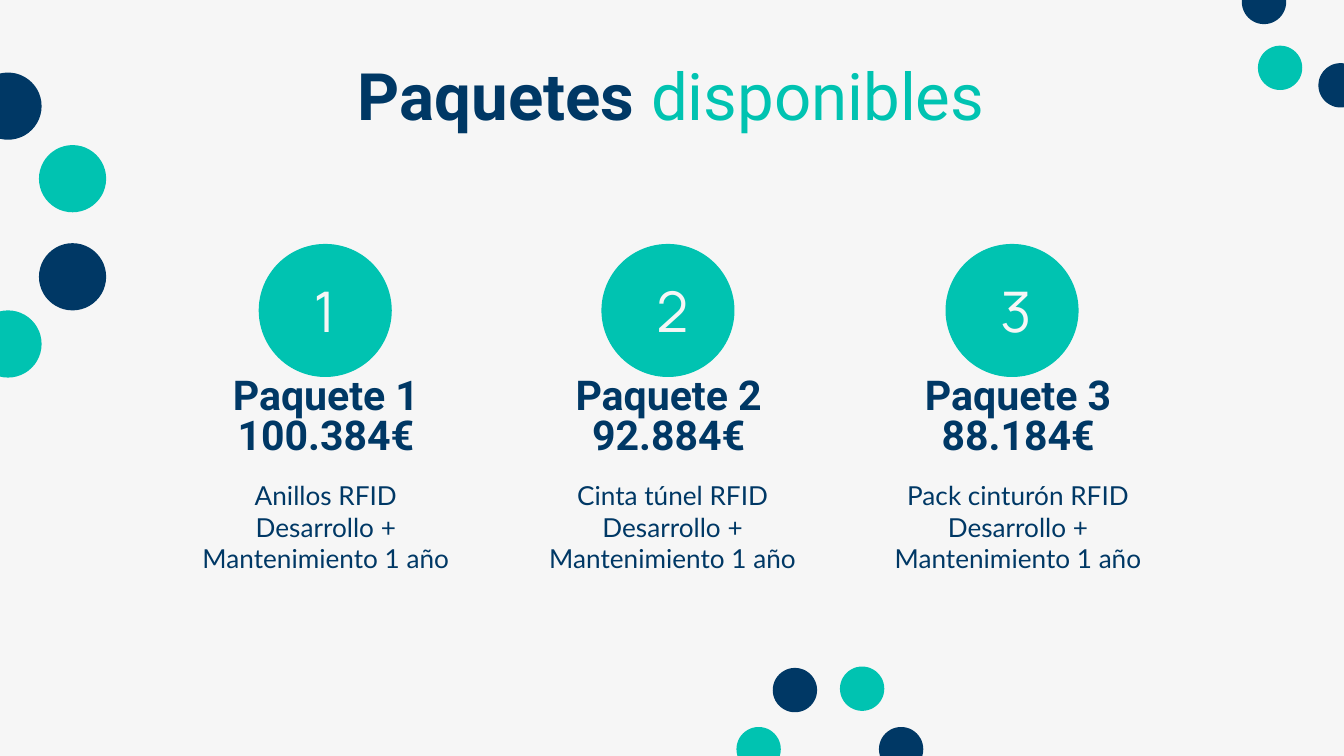
from pptx import Presentation
from pptx.dml.color import RGBColor
from pptx.enum.shapes import MSO_SHAPE
from pptx.enum.text import MSO_ANCHOR, MSO_AUTO_SIZE, PP_ALIGN
from pptx.util import Inches, Pt

NAVY, TEAL, PALE = "003865", "00C3B1", "F6F6F6"
OVAL = MSO_SHAPE.OVAL
TOP, MIDDLE, BOTTOM = MSO_ANCHOR.TOP, MSO_ANCHOR.MIDDLE, MSO_ANCHOR.BOTTOM
LEFT, CENTER = PP_ALIGN.LEFT, PP_ALIGN.CENTER
NO_FIT = MSO_AUTO_SIZE.NONE

DOT_GROUPS = [
    (0.5, [(-0.19, 0.54, NAVY), (0.29, 1.81, NAVY), (-0.19, 2.31, TEAL), (0.29, 1.08, TEAL)]),
    (0.33, [(9.36, 0.34, TEAL), (9.81, 0.47, NAVY), (9.24, -0.15, NAVY)]),
    (0.33, [(6.54, 5.41, NAVY), (6.25, 4.96, TEAL), (5.48, 5.41, TEAL), (5.75, 4.97, NAVY)]),
]
PACKAGES = [
    ("100.384€", "Anillos RFID", 1.93, 1.35, 1.35),
    ("92.884€", "Cinta túnel RFID", 4.48, 3.9, 3.93),
    ("88.184€", "Pack cinturón RFID", 7.04, 6.5, 6.5),
]
SERVICE = "Desarrollo + Mantenimiento 1 año"


def rgb(color):
    """Return the colour for a hex string."""
    return RGBColor.from_string(color)


class Deck:
    """Hold the style and the current slide, and draw each kind of element."""

    def __init__(self):
        """Open a 16:9 presentation with one title-only slide."""
        self.presentation = Presentation()
        self.presentation.slide_width = Inches(10)
        self.presentation.slide_height = Inches(10) * 9 // 16
        self.slide = self.presentation.slides.add_slide(self.presentation.slide_layouts[5])
        background = self.slide.background.fill
        background.solid()
        background.fore_color.rgb = rgb(PALE)

    def frame(self, shape, anchor):
        """Give a shape's text frame equal insets, wrapping and an anchor."""
        frame = shape.text_frame
        frame.auto_size = NO_FIT
        frame.word_wrap = True
        frame.vertical_anchor = anchor
        frame.margin_left = frame.margin_right = Inches(0.1)
        frame.margin_top = frame.margin_bottom = Inches(0.1)
        return frame

    def style(self, paragraph, font, size, color=NAVY, bold=False, align=CENTER, spacing=1.0):
        """Format a whole paragraph."""
        paragraph.alignment = align
        paragraph.line_spacing = spacing
        paragraph.font.name = font
        paragraph.font.size = Pt(size)
        paragraph.font.bold = bold
        paragraph.font.color.rgb = rgb(color)

    def title(self, parts, left, top, width, height):
        """Place the title and colour its parts."""
        heading = self.slide.shapes.title
        heading.left, heading.top = Inches(left), Inches(top)
        heading.width, heading.height = Inches(width), Inches(height)
        paragraph = self.frame(heading, TOP).paragraphs[0]
        self.style(paragraph, "Roboto", 35, spacing=0.8)
        for words, color, bold in parts:
            run = paragraph.add_run()
            run.text = words
            run.font.color.rgb = rgb(color)
            run.font.bold = bold

    def circle(self, left, top, size, color):
        """Draw a plain filled circle."""
        circle = self.slide.shapes.add_shape(
            OVAL, Inches(left), Inches(top), Inches(size), Inches(size))
        circle.shadow.inherit = False
        circle.fill.solid()
        circle.fill.fore_color.rgb = rgb(color)
        circle.line.fill.background()
        return circle

    def badge(self, number, left, top, size):
        """Draw an outlined circle with a number."""
        badge = self.circle(left, top, size, TEAL)
        badge.line.color.rgb = rgb(TEAL)
        badge.line.width = Pt(0.75)
        frame = self.frame(badge, MIDDLE)
        frame.margin_left, frame.margin_right = Inches(0.26), 0
        frame.text = str(number)
        self.style(frame.paragraphs[0], "Manrope", 30, PALE, align=LEFT)

    def text(self, lines, left, top, width, height, anchor, **style):
        """Write one paragraph for each line in a text box."""
        box = self.slide.shapes.add_textbox(
            Inches(left), Inches(top), Inches(width), Inches(height))
        frame = self.frame(box, anchor)
        frame.text = "\n".join(lines)
        for paragraph in frame.paragraphs:
            self.style(paragraph, **style)


def main():
    """Build and save the packages slide."""
    deck = Deck()
    for size, dots in DOT_GROUPS:
        for left, top, color in dots:
            deck.circle(left, top, size, color)
    deck.title([("Paquetes ", NAVY, True), ("disponibles", TEAL, False)], 0.79, 0.42, 8.41, 0.63)
    for number, package in enumerate(PACKAGES, 1):
        price, product, badge_left, name_left, detail_left = package
        deck.text([f"Paquete {number}", price], name_left, 3.06, 2.15, 0.45, BOTTOM,
                  font="Roboto", size=22, bold=True, spacing=0.8)
        deck.text([product, SERVICE], detail_left, 3.47, 2.15, 0.89, TOP, font="Lato", size=14)
        deck.badge(number, badge_left, 1.82, 0.98)
    deck.presentation.save("out.pptx")


if __name__ == "__main__":
    main()
